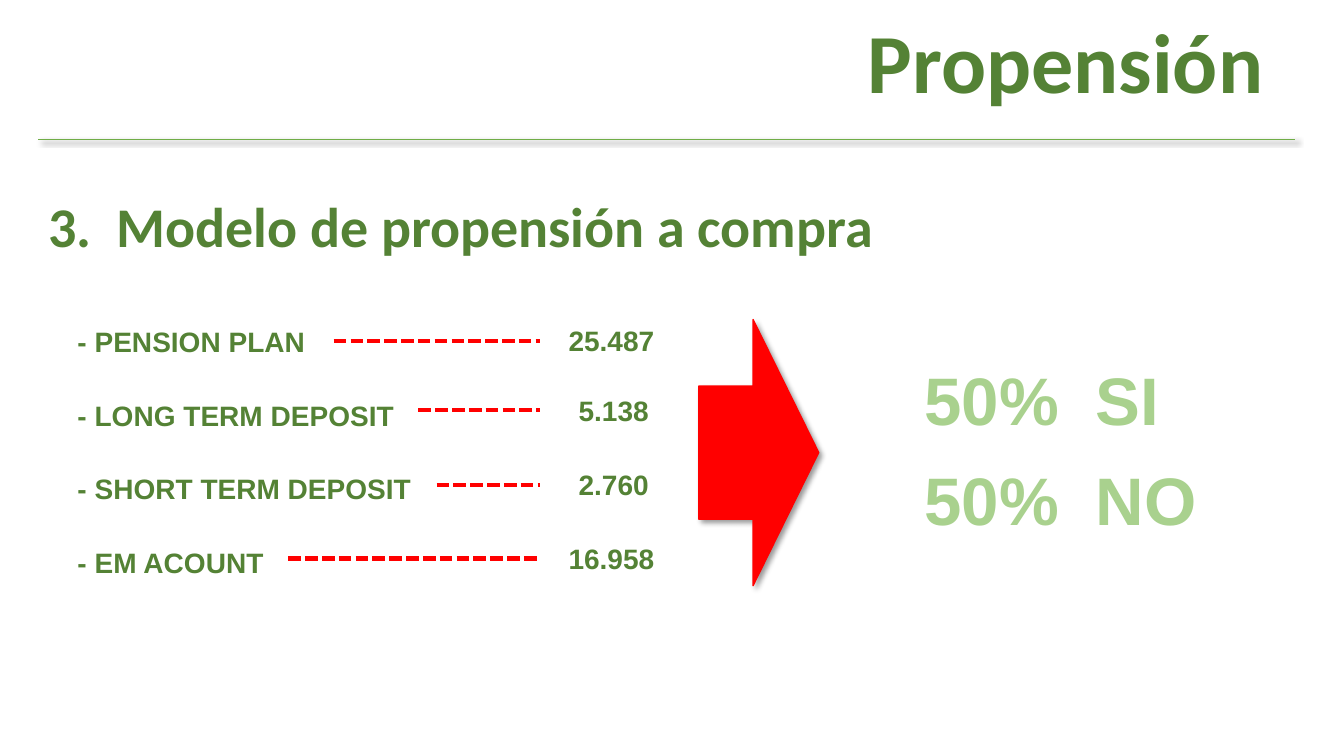
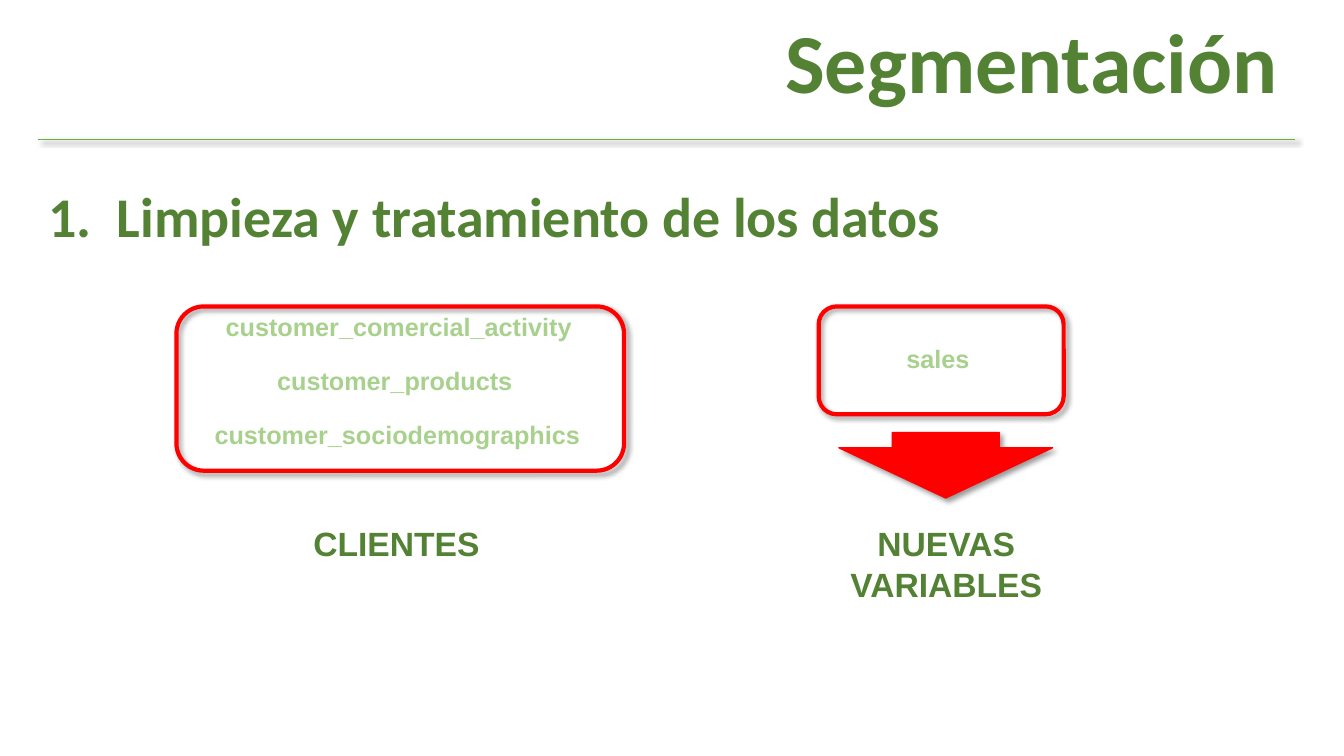
from lxml import etree
from pptx import Presentation
from pptx.dml.color import RGBColor
from pptx.enum.dml import MSO_LINE
from pptx.enum.shapes import MSO_CONNECTOR, MSO_SHAPE
from pptx.enum.text import MSO_ANCHOR, PP_ALIGN
from pptx.oxml.ns import qn
from pptx.util import Inches, Pt

# Enum members
STRAIGHT = MSO_CONNECTOR.STRAIGHT
RIGHT_ARROW = MSO_SHAPE.RIGHT_ARROW
DOWN_ARROW = MSO_SHAPE.DOWN_ARROW
ROUNDED = MSO_SHAPE.ROUNDED_RECTANGLE
SQUARE_DOT = MSO_LINE.SQUARE_DOT
MIDDLE, TOP = MSO_ANCHOR.MIDDLE, MSO_ANCHOR.TOP
LEFT, CENTER = PP_ALIGN.LEFT, PP_ALIGN.CENTER

# Colours
DARK_GREEN = RGBColor(0x54, 0x82, 0x35)
RULE_GREEN = RGBColor(0x70, 0xAD, 0x47)
LIGHT_GREEN = RGBColor(0xA9, 0xD1, 0x8E)
RED = RGBColor(0xFF, 0x00, 0x00)


def text_format(size, color=DARK_GREEN, name="Arial"):
    return {"size": Pt(size), "name": name, "bold": True, "color": color}


# Text styles
TITLE = text_format(60, name="Calibri")
HEADING = text_format(40, name="Calibri")
PRODUCT = text_format(20)
SHARE = text_format(48, LIGHT_GREEN)
SOURCE_TABLE = text_format(18, LIGHT_GREEN)
CAPTION = text_format(24)

# Product, left end of its dots, count, left and top of the count
PRODUCTS = [
    ("- PENSION PLAN", 3.31, "25.487", 5.54, 3.16),
    ("- LONG TERM DEPOSIT", 4.15, "5.138", 5.64, 3.85),
    ("- SHORT TERM DEPOSIT", 4.33, "2.760", 5.64, 4.59),
    ("- EM ACOUNT", 2.86, "16.958", 5.54, 5.32),
]
PRODUCT_TOP, PRODUCT_STEP, PRODUCT_HEIGHT = 3.17, 0.73, 0.44
DOTS_END = 5.36

# Source table name, left, top, width
SOURCE_TABLES = [
    ("customer_comercial_activity", 2.14, 3.04, 4.06),
    ("customer_products", 2.65, 3.58, 2.61),
    ("customer_sociodemographics", 2.03, 4.11, 3.86),
    ("sales", 8.89, 3.36, 0.85),
]


# Basic elements
def add_text(slide, text, box, style, align=LEFT, anchor=TOP, spacing=None, tab=None):
    """Add one paragraph per line of text, with an optional tab stop."""
    frame = slide.shapes.add_textbox(*map(Inches, box)).text_frame
    frame.word_wrap = True
    frame.vertical_anchor = anchor
    frame.text = text
    for paragraph in frame.paragraphs:
        paragraph.alignment = align
        paragraph.line_spacing = spacing
        if tab:
            properties = paragraph._p.get_or_add_pPr()
            stops = etree.SubElement(properties, qn("a:tabLst"))
            etree.SubElement(stops, qn("a:tab"), pos=str(Inches(tab)), algn="l")
        for run in paragraph.runs:
            for key, value in style.items():
                if key == "color":
                    run.font.color.rgb = value
                else:
                    setattr(run.font, key, value)


def set_effects(shape, shadow):
    """Replace the theme shadow by a soft one, or by none."""
    effects = etree.SubElement(shape._element.spPr, qn("a:effectLst"))
    if shadow:
        outer = etree.SubElement(
            effects, qn("a:outerShdw"), blurRad=str(Pt(4)), dist=str(Pt(3)),
            dir=str(45 * 60000), algn="tl", rotWithShape="0")
        color = etree.SubElement(outer, qn("a:srgbClr"), val="000000")
        etree.SubElement(color, qn("a:alpha"), val="40000")


def add_line(slide, left, right, y, color, width, dash=None, shadow=False):
    connector = slide.shapes.add_connector(
        STRAIGHT, Inches(left), Inches(y), Inches(right), Inches(y))
    connector.line.color.rgb = color
    connector.line.width = Pt(width)
    if dash:
        connector.line.dash_style = dash
    set_effects(connector, shadow)


def add_red_shape(slide, kind, box, line_width, filled=False, adjustments=()):
    shape = slide.shapes.add_shape(kind, *map(Inches, box))
    for index, value in enumerate(adjustments):
        shape.adjustments[index] = value
    if filled:
        shape.fill.solid()
        shape.fill.fore_color.rgb = RED
    else:
        shape.fill.background()
    shape.line.color.rgb = RED
    shape.line.width = Pt(line_width)
    set_effects(shape, shadow=True)


# Shared slide frame: title, rule and numbered heading
def add_framed_slide(presentation, title, title_left, heading, heading_top):
    slide = presentation.slides.add_slide(presentation.slide_layouts[6])
    add_text(slide, title, (title_left, 0.32, 12.84 - title_left, 0.68), TITLE,
             anchor=MIDDLE, spacing=0.9)
    add_line(slide, 0.38, 12.84, 1.38, RULE_GREEN, 0.5, shadow=True)
    add_text(slide, heading, (0.38, heading_top, 9.49, 0.77), HEADING, tab=0.68)
    return slide


def build_propensity(presentation):
    slide = add_framed_slide(presentation, "Propensión", 8.51,
                             "3.\tModelo de propensión a compra", 1.85)
    # Products with dotted leaders and counts
    for row, (product, dots_start, count, left, top) in enumerate(PRODUCTS):
        product_top = PRODUCT_TOP + row * PRODUCT_STEP
        add_text(slide, product, (0.67, product_top, 3.78, PRODUCT_HEIGHT), PRODUCT)
        add_line(slide, dots_start, DOTS_END, top + PRODUCT_HEIGHT / 2,
                 RED, 3, SQUARE_DOT)
        add_text(slide, count, (left, top, 3.78, PRODUCT_HEIGHT), PRODUCT)
    # Arrow to the resulting shares
    add_red_shape(slide, RIGHT_ARROW, (6.93, 3.17, 1.19, 2.64), 1, True, (0.5, 0.547))
    for row, share in enumerate(("50%\tSI", "50%\tNO")):
        add_text(slide, share, (9.07, 3.51 + row * 0.99, 3.47, 0.91), SHARE, tab=1.7)


def build_segmentation(presentation):
    slide = add_framed_slide(presentation, "Segmentación", 7.69,
                             "1.\tLimpieza y tratamiento de los datos", 1.75)
    # Source tables and their frames
    for name, left, top, width in SOURCE_TABLES:
        add_text(slide, name, (left, top, width, 0.4), SOURCE_TABLE)
    for box in ((1.75, 3.04, 4.44, 1.63), (8.12, 3.04, 2.43, 1.07)):
        add_red_shape(slide, ROUNDED, box, 3)
    # Results
    add_text(slide, "CLIENTES", (3.01, 5.14, 1.9, 0.5), CAPTION)
    add_red_shape(slide, DOWN_ARROW, (8.32, 4.29, 2.12, 0.65), 1, True, (0.5, 0.766))
    add_text(slide, "NUEVAS\nVARIABLES", (8.3, 5.14, 2.17, 0.91), CAPTION, align=CENTER)


def main():
    presentation = Presentation()
    presentation.slide_width = Inches(13.33)
    presentation.slide_height = Inches(7.5)
    build_propensity(presentation)
    build_segmentation(presentation)
    presentation.save("out.pptx")


if __name__ == "__main__":
    main()
